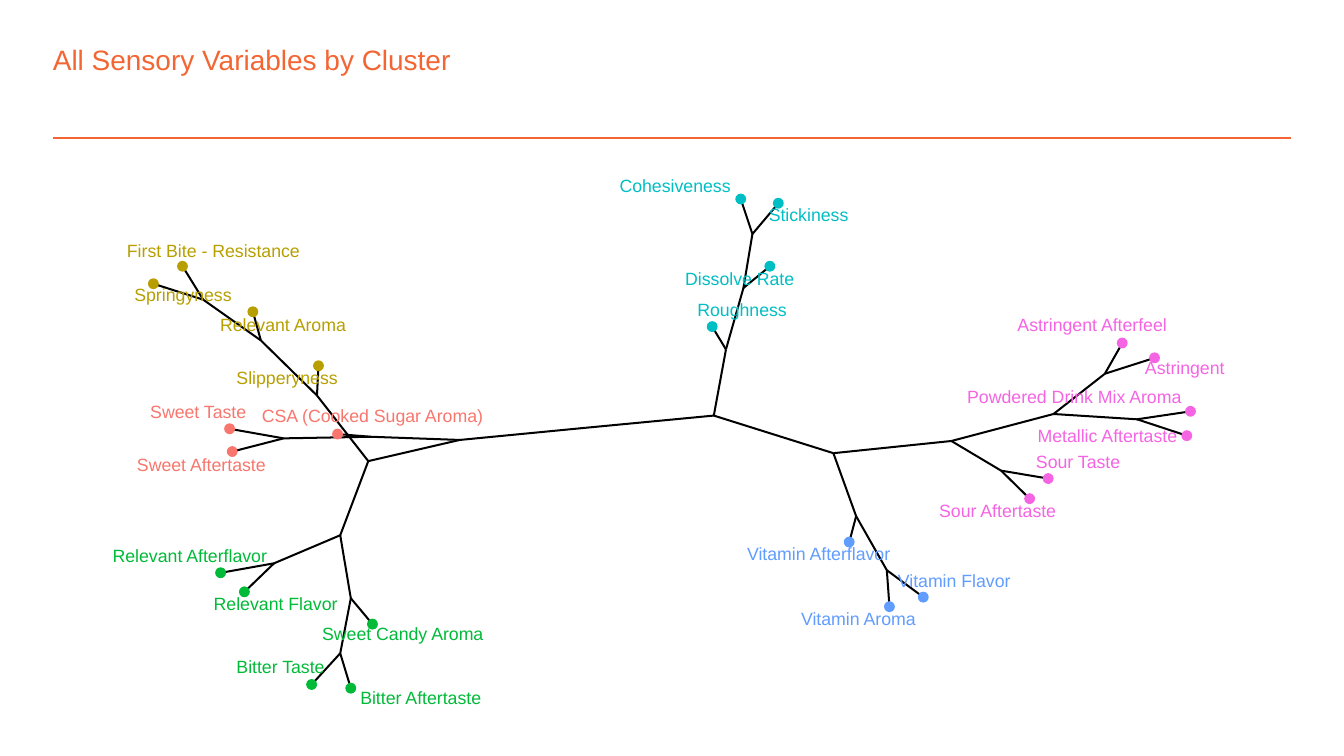
"""Build a slide showing the sensory variables as a branching cluster tree."""
from dataclasses import dataclass

from lxml import etree
from pptx import Presentation
from pptx.dml.color import RGBColor
from pptx.enum import shapes, text
from pptx.oxml import ns
from pptx.util import Cm, Pt


@dataclass(frozen=True)
class Theme:
    font: str = "Arial"
    title_size: float = 15
    label_size: float = 9.5
    accent: str = "F36633"
    branch: str = "000000"
    panel: str = "FFFFFF"
    gold: str = "B79F00"
    red: str = "F8766D"
    green: str = "00BA38"
    teal: str = "00BFC4"
    blue: str = "619CFF"
    pink: str = "F564E3"


theme = Theme()


def draw_line(parent, start, end, color, width):
    line = parent.add_connector(
        shapes.MSO_CONNECTOR.STRAIGHT, *(Cm(value) for value in start + end))
    line.line.color.rgb = RGBColor.from_string(color)
    line.line.width = Pt(width)
    etree.SubElement(line._element.spPr, ns.qn("a:effectLst"))


def draw_shape(parent, kind, left, top, width, height, color, line_width):
    shape = parent.add_shape(kind, Cm(left), Cm(top), Cm(width), Cm(height))
    shape.shadow.inherit = False
    shape.fill.solid()
    shape.fill.fore_color.rgb = RGBColor.from_string(color)
    shape.line.color.rgb = RGBColor.from_string(color)
    shape.line.width = Pt(line_width)


forks = {
    "root": (11.07, 8.08, None),
    "west": (8.69, 8.31, "root"),
    "middle": (13.49, 7.85, "root"),
    "texture": (13.72, 6.6, "middle"),
    "east": (15.75, 8.56, "middle"),
    "sugar": (7.01, 8.25, "west"),
    "southwest": (6.96, 8.71, "west"),
    "vitamin": (16.18, 9.75, "east"),
    "sharp": (17.98, 8.33, "east"),
    "slippery": (5.99, 7.47, "southwest"),
    "flavor": (6.43, 10.11, "southwest"),
    "relevant": (5.18, 10.64, "flavor"),
    "candy": (6.63, 11.3, "flavor"),
    "sweet": (5.36, 8.28, "sugar"),
    "sour": (18.92, 8.89, "sharp"),
    "drink": (19.91, 7.82, "sharp"),
    "astringent": (20.88, 7.06, "drink"),
    "metallic": (21.49, 7.92, "drink"),
    "dissolve": (14.05, 5.44, "texture"),
    "cohesive": (14.22, 4.42, "dissolve"),
    "bitter": (6.43, 12.34, "candy"),
    "aroma": (4.93, 6.43, "slippery"),
    "bite": (3.84, 5.66, "aroma"),
    "vitamin pair": (16.76, 10.77, "vitamin"),
}

clusters = {
    theme.pink: [
        ("Astringent", "astringent", 21.82, 6.76, 21.64, 1.5, 6.98),
        ("Astringent Afterfeel", "astringent", 21.21, 6.48, 19.23, 2.84, 6.17),
        ("Metallic Aftertaste", "metallic", 22.43, 8.23, 19.61, 2.67, 8.26),
        ("Powdered Drink Mix Aroma", "metallic", 22.5, 7.77, 18.28, 4.06, 7.52),
        ("Sour Aftertaste", "sour", 19.46, 9.42, 17.75, 2.24, 9.68),
        ("Sour Taste", "sour", 19.81, 9.04, 19.58, 1.63, 8.74),
    ],
    theme.green: [
        ("Bitter Aftertaste", "bitter", 6.63, 13, 6.81, 2.31, 13.21),
        ("Bitter Taste", "bitter", 5.89, 12.93, 4.47, 1.7, 12.63),
        ("Relevant Afterflavor", "relevant", 4.17, 10.82, 2.13, 2.95, 10.52),
        ("Relevant Flavor", "relevant", 4.62, 11.18, 4.04, 2.34, 11.43),
        ("Sweet Candy Aroma", "candy", 7.04, 11.79, 6.09, 3.07, 11.99),
    ],
    theme.teal: [
        ("Cohesiveness", "cohesive", 14, 3.76, 11.71, 2.11, 3.54),
        ("Dissolve Rate", "dissolve", 14.55, 5.03, 12.95, 2.06, 5.29),
        ("Roughness", "texture", 13.46, 6.17, 13.18, 1.7, 5.87),
        ("Stickiness", "cohesive", 14.71, 3.84, 14.53, 1.5, 4.09),
    ],
    theme.red: [
        ("CSA (Cooked Sugar Aroma)", "sugar", 6.38, 8.2, 4.95, 4.22, 7.88),
        ("Sweet Aftertaste", "sweet", 4.39, 8.53, 2.59, 2.46, 8.81),
        ("Sweet Taste", "sweet", 4.34, 8.1, 2.84, 1.85, 7.8),
    ],
    theme.gold: [
        ("First Bite - Resistance", "bite", 3.45, 5.03, 2.4, 3.28, 4.76),
        ("Relevant Aroma", "aroma", 4.78, 5.89, 4.16, 2.39, 6.17),
        ("Slipperyness", "slippery", 6.02, 6.91, 4.47, 1.9, 7.16),
        ("Springyness", "bite", 2.9, 5.36, 2.54, 1.83, 5.59),
    ],
    theme.blue: [
        ("Vitamin Afterflavor", "vitamin", 16.05, 10.24, 14.12, 2.74, 10.49),
        ("Vitamin Aroma", "vitamin pair", 16.81, 11.46, 15.14, 2.18, 11.71),
        ("Vitamin Flavor", "vitamin pair", 17.45, 11.28, 16.97, 2.13, 11),
    ],
}
leaves = [(color, *leaf) for color, members in clusters.items() for leaf in members]

deck = Presentation()
deck.slide_width, deck.slide_height = Cm(25.4), Cm(14.28)
page = deck.slides.add_slide(deck.slide_layouts[5])

draw_line(page.shapes, (1, 2.61), (24.4, 2.61), theme.accent, 1)

title = page.shapes.title
title.left, title.top, title.width, title.height = Cm(1), Cm(0.81), Cm(21.06), Cm(0.64)
frame = title.text_frame
frame.text = "All Sensory Variables by Cluster"
frame.margin_left = frame.margin_right = frame.margin_top = frame.margin_bottom = 0
frame.vertical_anchor = text.MSO_ANCHOR.TOP
para = frame.paragraphs[0]
para.alignment = text.PP_ALIGN.LEFT
para.font.name = theme.font
para.font.size = Pt(theme.title_size)
para.font.color.rgb = RGBColor.from_string(theme.accent)

tree = page.shapes.add_group_shape().shapes
draw_shape(tree, shapes.MSO_SHAPE.RECTANGLE, 1.9, 3.3, 21.59, 10.16, theme.panel, 0.75)

branches = [(parent, x, y) for x, y, parent in forks.values() if parent]
branches += [(fork, x, y) for _, _, fork, x, y, *_ in leaves]
for fork, x, y in branches:
    draw_line(tree, forks[fork][:2], (x, y), theme.branch, 1.07)

dot = 0.18
for color, _, _, x, y, *_ in leaves:
    draw_shape(tree, shapes.MSO_SHAPE.OVAL, x - dot / 2, y - dot / 2, dot, dot, color, 0.71)

label_height = 0.3
label_slack = 0.15
for color, name, _, _, _, left, width, middle in leaves:
    box = tree.add_textbox(
        Cm(left), Cm(middle - label_height / 2), Cm(width + label_slack), Cm(label_height))
    frame = box.text_frame
    frame.text = name
    frame.word_wrap = False
    frame.margin_left = frame.margin_right = frame.margin_top = frame.margin_bottom = 0
    frame.vertical_anchor = text.MSO_ANCHOR.MIDDLE
    para = frame.paragraphs[0]
    para.alignment = text.PP_ALIGN.LEFT
    para.line_spacing = Pt(theme.label_size)
    para.font.name = theme.font
    para.font.size = Pt(theme.label_size)
    para.font.color.rgb = RGBColor.from_string(color)

deck.save("out.pptx")
